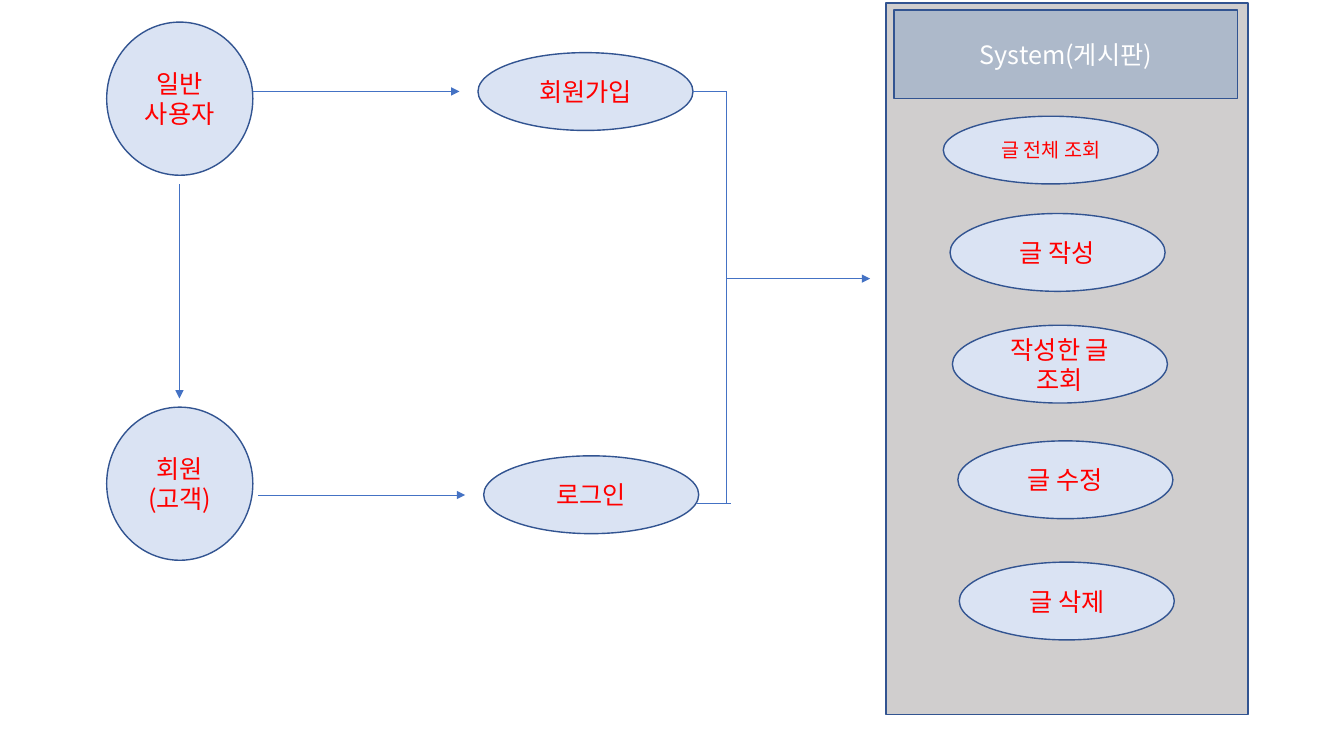
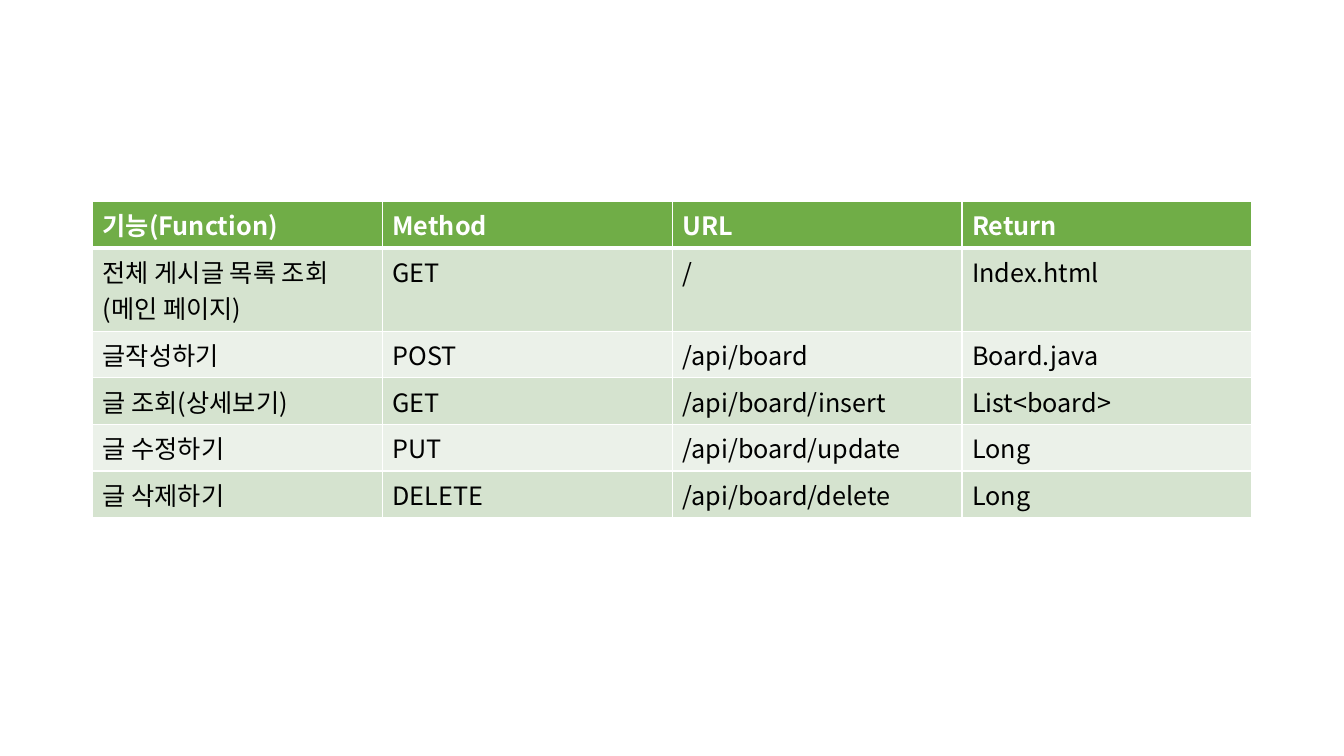
from lxml.etree import SubElement
from pptx import Presentation
from pptx.dml.color import RGBColor as RGB
from pptx.enum.shapes import MSO_CONNECTOR as LINK, MSO_SHAPE as SHAPE
from pptx.enum.text import MSO_ANCHOR as ANCHOR, PP_ALIGN as ALIGN
from pptx.oxml.ns import qn
from pptx.util import Pt

FONT = "Noto Sans CJK KR"
COLORS = {
    "panel": "D0CECE", "banner": "ADB9CA", "bubble": "DAE3F3",
    "outline": "325491", "link": "4472C4", "label": "FF0000",
    "white": "FFFFFF", "black": "000000",
    "head": "70AD47", "odd": "D5E3CF", "even": "EBF1E9",
}
ACTOR = (104.4, 109.4)
ACTION = (153.6, 55.6)
ACTOR_X = 76.2
COL_W, ROW_H = 207, 29.2

BUBBLES = [
    ("일반\n사용자", ACTOR_X, 15.8, ACTOR, 18),
    ("회원(고객)", ACTOR_X, 290.8, ACTOR, 18),
    ("회원가입", 341.4, 37.6, ACTION, 18),
    ("로그인", 345.5, 325.6, ACTION, 18),
    ("글 전체 조회", 673.8, 83, (153.6, 48.4), 14),
    ("글 작성", 678.6, 152.5, ACTION, 18),
    ("작성한 글 조회", 680.3, 232.3, ACTION, 18),
    ("글 수정", 684.2, 314.9, ACTION, 18),
    ("글 삭제", 685.2, 401.5, ACTION, 18),
]
ARROWS = [
    (128.2, 131.6, 128.2, 284.6),
    (180.4, 65.3, 328.2, 65.3),
    (184.4, 353.6, 332.3, 353.6),
    (518.7, 199, 621.5, 199),
]
BRACKET = [
    (494.9, 65.3, 518.7, 65.3),
    (518.8, 65.3, 518.8, 359.6),
    (498, 359.5, 522, 359.5),
]
API_ROWS = [
    ("기능(Function)", "Method", "URL", "Return"),
    ("전체 게시글 목록 조회\n(메인 페이지)", "GET", "/", "Index.html"),
    ("글작성하기", "POST", "/api/board", "Board.java"),
    ("글 조회(상세보기)", "GET", "/api/board/insert", "List<board>"),
    ("글 수정하기", "PUT", "/api/board/update", "Long"),
    ("글 삭제하기", "DELETE", "/api/board/delete", "Long"),
]


def rgb(name):
    return RGB.from_string(COLORS[name])


def write(tf, text, color, size=18, bold=False, align=ALIGN.LEFT):
    tf.text = text
    for p in tf.paragraphs:
        p.alignment = align
        for r in p.runs:
            for key, value in {"name": FONT, "size": Pt(size), "bold": bold}.items():
                setattr(r.font, key, value)
            r.font.color.rgb = rgb(color)
            SubElement(r._r.get_or_add_rPr(), qn("a:ea"), typeface=FONT)


def add_box(s, kind, x, y, size, fill, text="", color="label", font_size=18):
    sp = s.shapes.add_shape(kind, Pt(x), Pt(y), *map(Pt, size))
    sp.shadow.inherit = False
    sp.fill.solid()
    sp.fill.fore_color.rgb = rgb(fill)
    sp.line.color.rgb = rgb("outline")
    sp.line.width = Pt(1)
    if text:
        sp.text_frame.word_wrap = True
        sp.text_frame.vertical_anchor = ANCHOR.MIDDLE
        write(sp.text_frame, text, color, font_size, align=ALIGN.CENTER)


def add_link(s, ends, arrow=False):
    link = s.shapes.add_connector(LINK.STRAIGHT, *map(Pt, ends))
    link.line.color.rgb = rgb("link")
    link.line.width = Pt(0.5)
    if arrow:
        SubElement(link.line._get_or_add_ln(), qn("a:tailEnd"), type="triangle")
    SubElement(link._element.spPr, qn("a:effectLst"))


def add_borders(cell, widths):
    tcPr = cell._tc.get_or_add_tcPr()
    for side, width in widths.items():
        ln = SubElement(tcPr, qn(f"a:ln{side}"), w=str(Pt(width)))
        fill = SubElement(ln, qn("a:solidFill"))
        SubElement(fill, qn("a:srgbClr"), val=COLORS["white"])


def add_grid(s, rows, x, y):
    n_rows, n_cols = len(rows), len(rows[0])
    table = s.shapes.add_table(n_rows, n_cols, Pt(x), Pt(y),
                               Pt(COL_W * n_cols), Pt(ROW_H * n_rows)).table
    for i, row in enumerate(rows):
        head = i == 0
        fill = "head" if head else "odd" if i % 2 else "even"
        widths = {"L": 1, "R": 1, "T": 3 if i == 1 else 1, "B": 3 if head else 1}
        for j, text in enumerate(row):
            cell = table.cell(i, j)
            add_borders(cell, widths)
            cell.fill.solid()
            cell.fill.fore_color.rgb = rgb(fill)
            write(cell.text_frame, text, "white" if head else "black", bold=head)


def build_use_cases(s):
    add_box(s, SHAPE.RECTANGLE, 632.9, 2.2, (258.5, 508.3), "panel")
    for text, x, y, size, font_size in BUBBLES:
        add_box(s, SHAPE.OVAL, x, y, size, "bubble", text, font_size=font_size)
    for ends in ARROWS:
        add_link(s, ends, arrow=True)
    for ends in BRACKET:
        add_link(s, ends)
    add_box(s, SHAPE.RECTANGLE, 638.6, 7.2, (245.5, 63.2), "banner",
            "System(게시판)", "white")


def build_api(s):
    add_grid(s, API_ROWS, 66.2, 144)


def main():
    prs = Presentation()
    prs.slide_width, prs.slide_height = Pt(960), Pt(540)
    for build in (build_use_cases, build_api):
        build(prs.slides.add_slide(prs.slide_layouts[6]))
    prs.save("out.pptx")


main()
